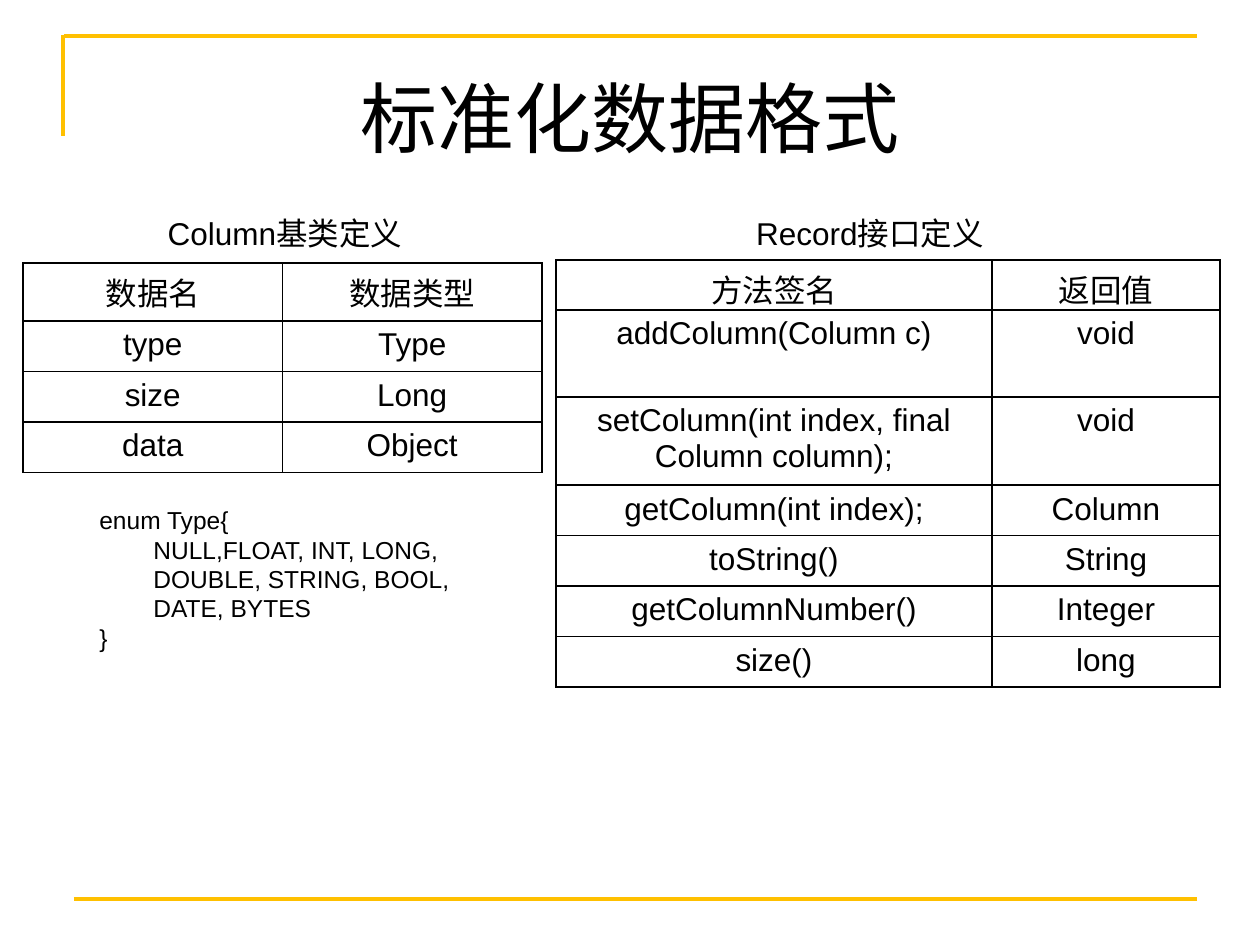
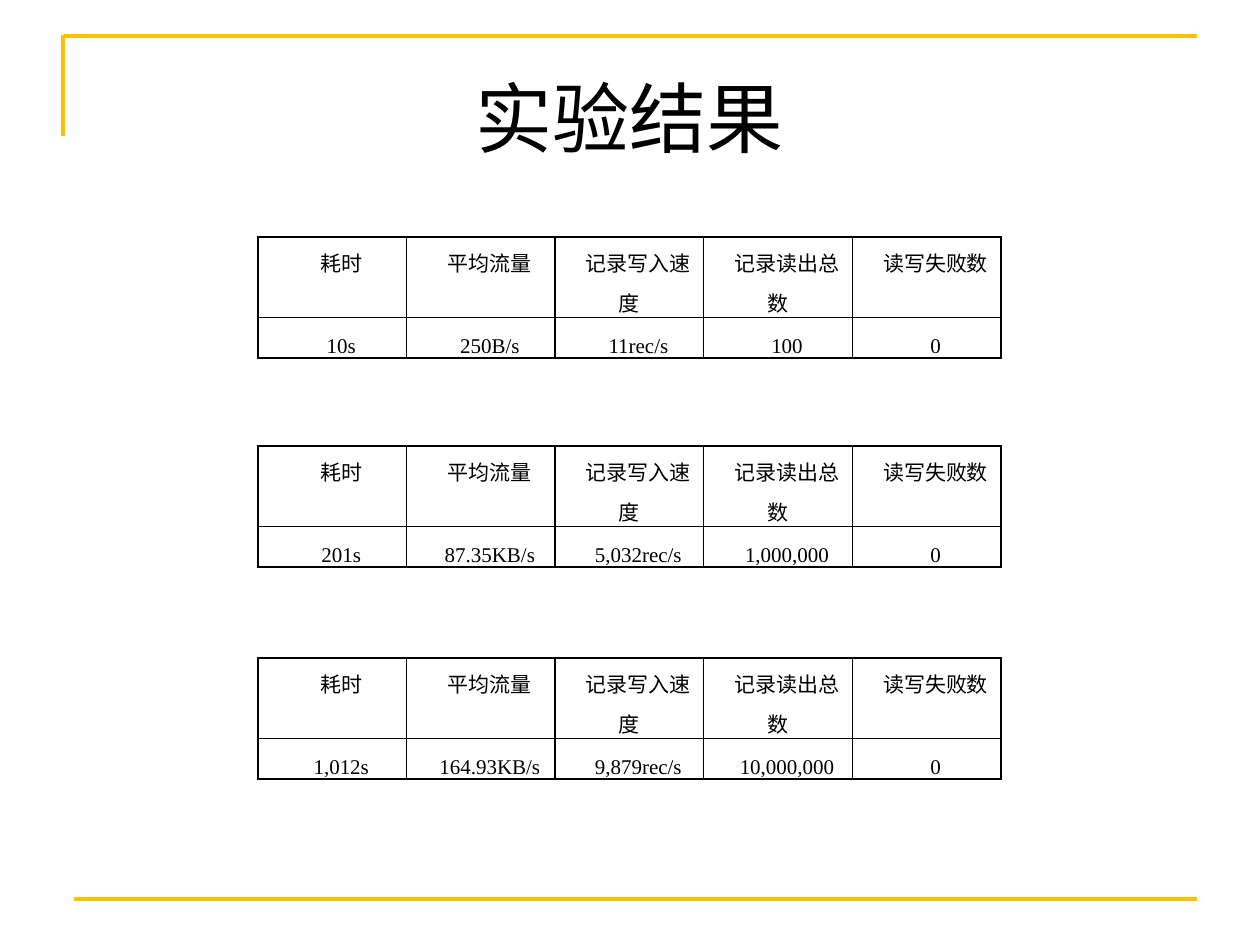
import pptx
import pptx.util
import pptx.dml.color
import pptx.enum.shapes
import pptx.enum.text
import pptx.oxml
import pptx.oxml.ns

PX = 914400 // 126
BLACK, WHITE, GOLD = "000000", "FFFFFF", "FFC000"
CENTER = pptx.enum.text.PP_ALIGN.CENTER
LEFT = pptx.enum.text.PP_ALIGN.LEFT
TITLE = {"name": "Calibri", "size": pptx.util.Pt(44)}
BODY = {"name": "Arial", "size": pptx.util.Pt(18)}
CODE = {"name": "Arial", "size": pptx.util.Pt(14)}
RESULT = {"name": "Times New Roman", "size": pptx.util.Pt(12)}
RULES = [(64, 36, 1197, 36), (63, 35, 63, 136), (74, 899, 1197, 899)]
HEADERS = ["耗时", "平均流量", "记录写入速度", "记录读出总数", "读写失败数"]


def write(p, text, font, align=CENTER, indent=0, first=0):
    p.alignment = align
    pPr = p._p.get_or_add_pPr()
    pPr.set("marL", str(indent * PX))
    pPr.set("indent", str(first * PX))
    r = p.add_run()
    r.text = text
    for key, value in font.items():
        setattr(r.font, key, value)
    r.font.color.rgb = pptx.dml.color.RGBColor.from_string(BLACK)


def add_grid(s, left, top, widths, heights, rows, font, first=0, fill=None, margins=None):
    frame = s.shapes.add_table(len(rows), len(widths), left * PX, top * PX,
                               int(sum(widths) * PX), sum(heights) * PX)
    table = frame.table
    table.first_row = table.horz_banding = False
    for column, width in zip(table.columns, widths):
        column.width = int(width * PX)
    for row, height in zip(table.rows, heights):
        row.height = height * PX
    for i, values in enumerate(rows):
        for j, value in enumerate(values):
            cell = table.cell(i, j)
            for key, margin in (margins or {}).items():
                setattr(cell, key, margin * PX)
            tcPr = cell._tc.get_or_add_tcPr()
            for side in ("lnL", "lnR", "lnT", "lnB"):
                tcPr.append(pptx.oxml.parse_xml(
                    f'<a:{side} {pptx.oxml.ns.nsdecls("a")} w="12700"><a:solidFill>'
                    f'<a:srgbClr val="{BLACK}"/></a:solidFill></a:{side}>'))
            if fill:
                cell.fill.solid()
                cell.fill.fore_color.rgb = pptx.dml.color.RGBColor.from_string(fill)
            else:
                cell.fill.background()
            p = cell.text_frame.paragraphs[0]
            write(p, value, font, first=first)
            if first:
                p.line_spacing = pptx.util.Pt(23)
    return table


prs = pptx.Presentation()
prs.slide_width = pptx.util.Inches(10)
prs.slide_height = pptx.util.Inches(7.5)

for title in ("标准化数据格式", "实验结果"):
    s = prs.slides.add_slide(prs.slide_layouts[6])
    sp = s.shapes.add_textbox(63 * PX, 38 * PX, 1134 * PX, 157 * PX)
    tf = sp.text_frame
    tf.word_wrap = True
    tf.vertical_anchor = pptx.enum.text.MSO_ANCHOR.MIDDLE
    write(tf.paragraphs[0], title, TITLE)
    for ends in RULES:
        line = s.shapes.add_connector(pptx.enum.shapes.MSO_CONNECTOR.STRAIGHT,
                                      *[v * PX for v in ends])
        line.line.color.rgb = pptx.dml.color.RGBColor.from_string(GOLD)
        line.line.width = pptx.util.Pt(2.25)
        spPr = line._element.spPr
        spPr.append(pptx.oxml.parse_xml(f'<a:effectLst {pptx.oxml.ns.nsdecls("a")}/>'))

formats, results = prs.slides

for left, caption in ((84, "Column基类定义"), (669, "Record接口定义")):
    tf = formats.shapes.add_textbox(left * PX, 208 * PX, 402 * PX, 50 * PX).text_frame
    tf.word_wrap = True
    write(tf.paragraphs[0], caption, BODY)

columns = [("数据名", "数据类型"), ("type", "Type"), ("size", "Long"), ("data", "Object")]
add_grid(formats, 23, 263, [259.5] * 2, [58, 48, 48, 48], columns, BODY, fill=WHITE)

methods = [
    ("方法签名", "返回值"),
    ("addColumn(Column c)", "void"),
    ("setColumn(int index, final Column column);", "void"),
    ("getColumn(int index);", "Column"),
    ("toString()", "String"),
    ("getColumnNumber()", "Integer"),
    ("size()", "long"),
]
record = add_grid(formats, 556, 260, [436, 228], [50, 87, 88] + [50] * 4, methods, BODY, fill=WHITE)
for cell in record.rows[0].cells:
    cell.margin_bottom = 0

tf = formats.shapes.add_textbox(87 * PX, 499 * PX, 392 * PX, 161 * PX).text_frame
tf.word_wrap = True
code = [("enum Type{", 0), ("NULL,FLOAT, INT, LONG,", 54), ("DOUBLE, STRING, BOOL,", 54),
        ("DATE, BYTES", 54), ("}", 0)]
for i, (text, indent) in enumerate(code):
    p = tf.add_paragraph() if i else tf.paragraphs[0]
    write(p, text, CODE, LEFT, indent)

runs = [
    (237, ["10s", "250B/s", "11rec/s", "100", "0"]),
    (446, ["201s", "87.35KB/s", "5,032rec/s", "1,000,000", "0"]),
    (658, ["1,012s", "164.93KB/s", "9,879rec/s", "10,000,000", "0"]),
]
margins = {"margin_left": 9, "margin_right": 9, "margin_top": 0, "margin_bottom": 0}
for top, values in runs:
    add_grid(results, 258, top, [743 / 5] * 5, [80, 40], [HEADERS, values], RESULT,
             first=18, margins=margins)

prs.save("out.pptx")
